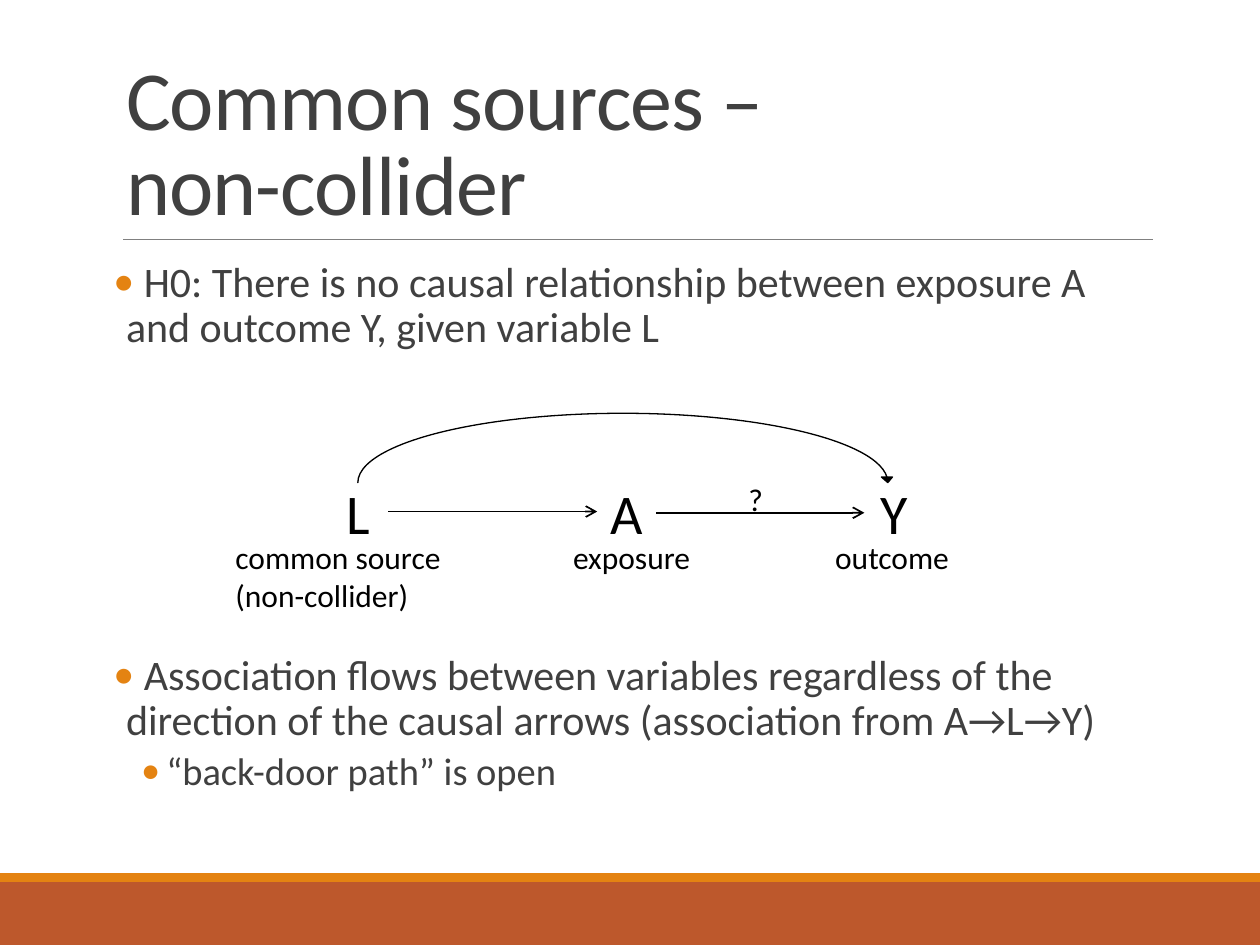
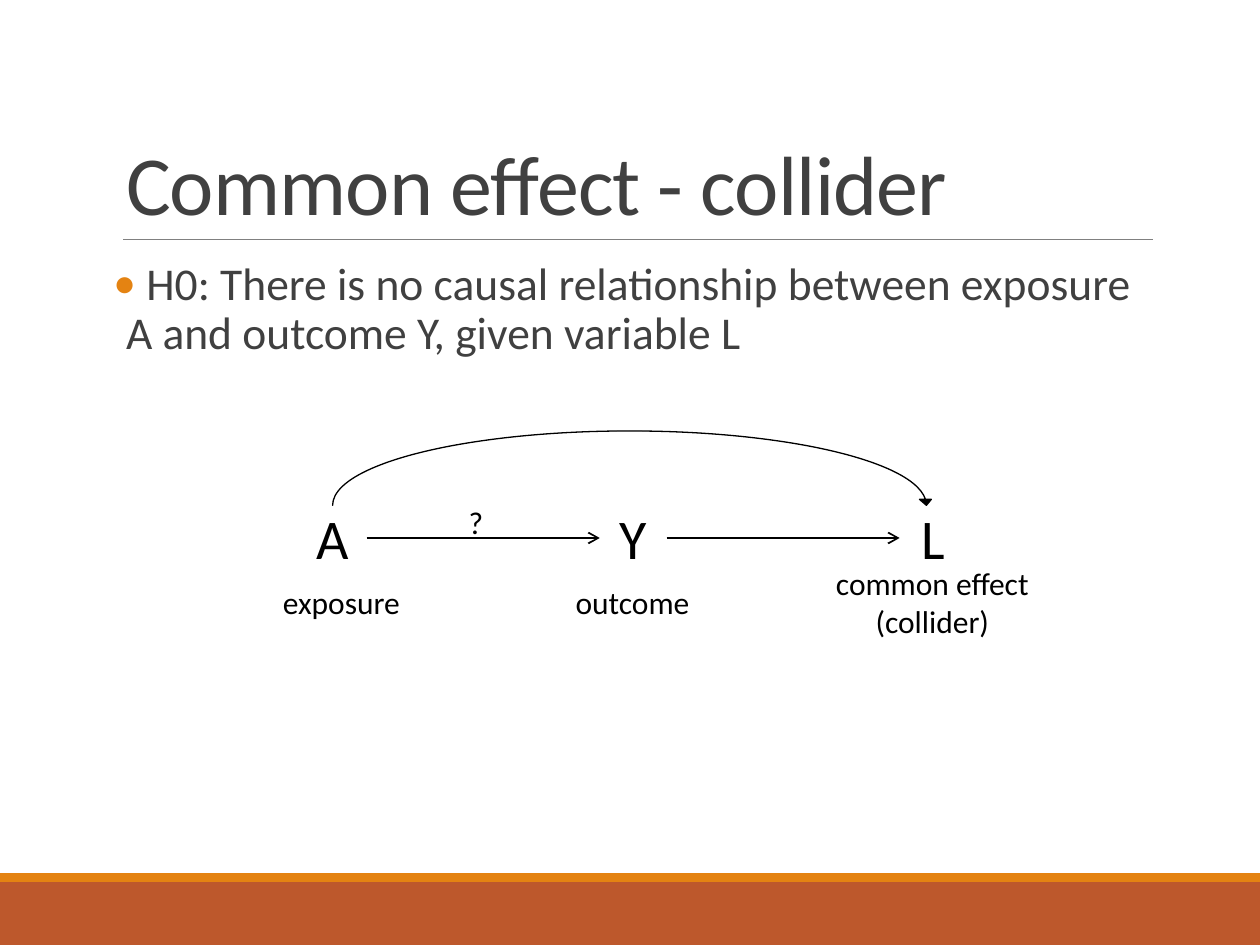
"""Builds two slides on causal diagrams: a common source and a common effect."""
from lxml.etree import SubElement
from pptx import Presentation
from pptx.dml.color import RGBColor
from pptx.enum.shapes import MSO_CONNECTOR, MSO_SHAPE
from pptx.enum.text import MSO_ANCHOR, MSO_AUTO_SIZE, PP_ALIGN
from pptx.oxml.ns import qn
from pptx.util import Pt

PX = 9144
FONT = "Calibri"
COLORS = {"band": "BD582C", "accent": "E48312", "rule": "808080",
          "text": "404040", "ink": "000000"}
RGB = {name: RGBColor.from_string(value) for name, value in COLORS.items()}

BANDS = [("band", 700, 50), ("accent", 693, 7)]
TITLE_PLACE = {"left": 90 * PX, "top": 31 * PX, "width": 825 * PX, "height": 159 * PX}
BODY_PLACE = {"left": 90 * PX, "top": 202 * PX, "width": 825 * PX, "height": 440 * PX}
TITLE_FRAME = {"vertical_anchor": MSO_ANCHOR.BOTTOM, "word_wrap": True,
               "auto_size": MSO_AUTO_SIZE.NONE}
BODY_FRAME = {"margin_left": 0, "margin_right": 0, "margin_top": 5 * PX,
              "margin_bottom": 5 * PX, "vertical_anchor": MSO_ANCHOR.TOP,
              "word_wrap": True, "auto_size": MSO_AUTO_SIZE.NONE}
TITLE_PARA = {"alignment": PP_ALIGN.LEFT, "line_spacing": 0.85}
INDENTS = [(10, -10), (42, -20)]

HYPOTHESIS = (" H0: There is no causal relationship between exposure A "
              "and outcome Y, given variable L")
PAGES = [
    {
        "title": "Common sources – \vnon-collider",
        "body": [
            (HYPOTHESIS, 0, 24, 12, 2),
            (" Association flows between variables regardless of the direction "
             "of the causal arrows (association from A→L→Y)", 0, 24, 171, 2),
            ("“back-door path” is open", 1, 22, 2, 4),
        ],
        "nodes": "LAY", "node_left": 261, "node_step": 212.5,
        "node_top": 383, "node_size": (47, 47),
        "arrow_levels": [406, 407], "arc_top": 328,
        "label_shape": None,
        "labels": [((177, 422, 205, 71), ["common source", "(non-collider)"]),
                   ((445, 422, 114, 40), ["exposure"]),
                   ((653, 422, 112, 40), ["outcome"])],
        "question": (584, 376, 32, 40),
    },
    {
        "title": "Common effect - collider",
        "body": [(HYPOTHESIS, 0, 26, 12, 2)],
        "nodes": "AYL", "node_left": 238, "node_step": 238,
        "node_top": 401, "node_size": (53, 51),
        "arrow_levels": [427, 427], "arc_top": 342,
        "label_shape": MSO_SHAPE.ROUNDED_RECTANGLE,
        "labels": [((137, 438, 268, 79), ["exposure"]),
                   ((368, 438, 268, 79), ["outcome"]),
                   ((606, 438, 268, 79), ["common effect", "(collider)"])],
        "question": (362, 394, 32, 40),
    },
]


def apply_format(target, values):
    for name, value in values.items():
        setattr(target, name, value)


def add_label(page, place, lines, size, shape=None):
    place = [length * PX for length in place]
    if shape:
        box = page.shapes.add_shape(shape, *place)
        box.shadow.inherit = False
        box.fill.background()
        box.line.fill.background()
        frame_format = {"vertical_anchor": MSO_ANCHOR.MIDDLE, "word_wrap": True,
                        "margin_left": 0, "margin_right": 0}
    else:
        box = page.shapes.add_textbox(*place)
        frame_format = {"word_wrap": len(lines) > 1,
                        "auto_size": MSO_AUTO_SIZE.SHAPE_TO_FIT_TEXT}
    frame = box.text_frame
    frame.text = "\n".join(lines)
    apply_format(frame, frame_format)
    for para in frame.paragraphs:
        para.alignment = PP_ALIGN.CENTER if shape else PP_ALIGN.LEFT
        for span in para.runs:
            apply_format(span.font, {"name": FONT, "size": Pt(size)})
            span.font.color.rgb = RGB["ink"]


deck = Presentation()
apply_format(deck, {"slide_width": 1000 * PX, "slide_height": 750 * PX})

for content in PAGES:
    page = deck.slides.add_slide(deck.slide_layouts[1])

    for color, top, height in BANDS:
        band = page.shapes.add_shape(MSO_SHAPE.RECTANGLE, 0, top * PX, 1000 * PX, height * PX)
        band.shadow.inherit = False
        band.fill.solid()
        band.fill.fore_color.rgb = RGB[color]
        band.line.fill.background()

    title = page.shapes.title
    apply_format(title, TITLE_PLACE)
    title.text_frame.text = content["title"]
    apply_format(title.text_frame, TITLE_FRAME)
    para = title.text_frame.paragraphs[0]
    apply_format(para, TITLE_PARA)
    for span in para.runs:
        apply_format(span.font, {"name": FONT, "size": Pt(48)})
        span.font.color.rgb = RGB["text"]
        span.font._element.set("spc", "-50")

    body = page.placeholders[1]
    apply_format(body, BODY_PLACE)
    body.text_frame.text = "\n".join(item[0] for item in content["body"])
    apply_format(body.text_frame, BODY_FRAME)
    for para, (text, level, size, before, after) in zip(body.text_frame.paragraphs,
                                                        content["body"]):
        apply_format(para, {"level": level, "alignment": PP_ALIGN.LEFT, "line_spacing": 0.9,
                            "space_before": Pt(before), "space_after": Pt(after)})
        properties = para._p.get_or_add_pPr()
        for name, length in zip(("marL", "indent"), INDENTS[level]):
            properties.set(name, str(length * PX))
        bullet_color = SubElement(properties, qn("a:buClr"))
        SubElement(bullet_color, qn("a:srgbClr"), val=COLORS["accent"])
        SubElement(properties, qn("a:buFont"), typeface=FONT)
        SubElement(properties, qn("a:buChar"), char="•")
        span = para.runs[0]
        apply_format(span.font, {"name": FONT, "size": Pt(size)})
        span.font.color.rgb = RGB["text"]

    width, height = content["node_size"]
    node_top = content["node_top"]
    lefts = [round(content["node_left"] + content["node_step"] * i) for i in range(3)]
    for left, letter in zip(lefts, content["nodes"]):
        add_label(page, (left, node_top, width, height), [letter], 32,
                  MSO_SHAPE.ROUNDED_RECTANGLE)

    arc_top = content["arc_top"]
    arc = page.shapes.add_shape(
        MSO_SHAPE.CURVED_DOWN_ARROW, (lefts[0] + width // 2) * PX, arc_top * PX,
        (lefts[2] - lefts[0]) * PX, (node_top - arc_top) * PX)
    for index, value in enumerate((0, 0.16, 0.08)):
        arc.adjustments[index] = value
    arc.shadow.inherit = False
    arc.fill.solid()
    arc.fill.fore_color.rgb = RGB["ink"]
    arc.line.color.rgb = RGB["ink"]
    arc.line.width = Pt(0.75)

    lines = [(98, 915, 190, "rule", 0.5, False)]
    for start, end, level in zip(lefts, lefts[1:], content["arrow_levels"]):
        lines.append((start + width, end, level, "ink", 1, True))
    for start, end, level, color, weight, has_head in lines:
        line = page.shapes.add_connector(MSO_CONNECTOR.STRAIGHT, start * PX, level * PX,
                                         end * PX, level * PX)
        line.line.color.rgb = RGB[color]
        line.line.width = Pt(weight)
        if has_head:
            SubElement(line.line._get_or_add_ln(), qn("a:tailEnd"), type="arrow")
        SubElement(line._element.spPr, qn("a:effectLst"))

    for place, words in content["labels"]:
        add_label(page, place, words, 18, content["label_shape"])
    add_label(page, content["question"], ["?"], 18)

deck.save("out.pptx")
